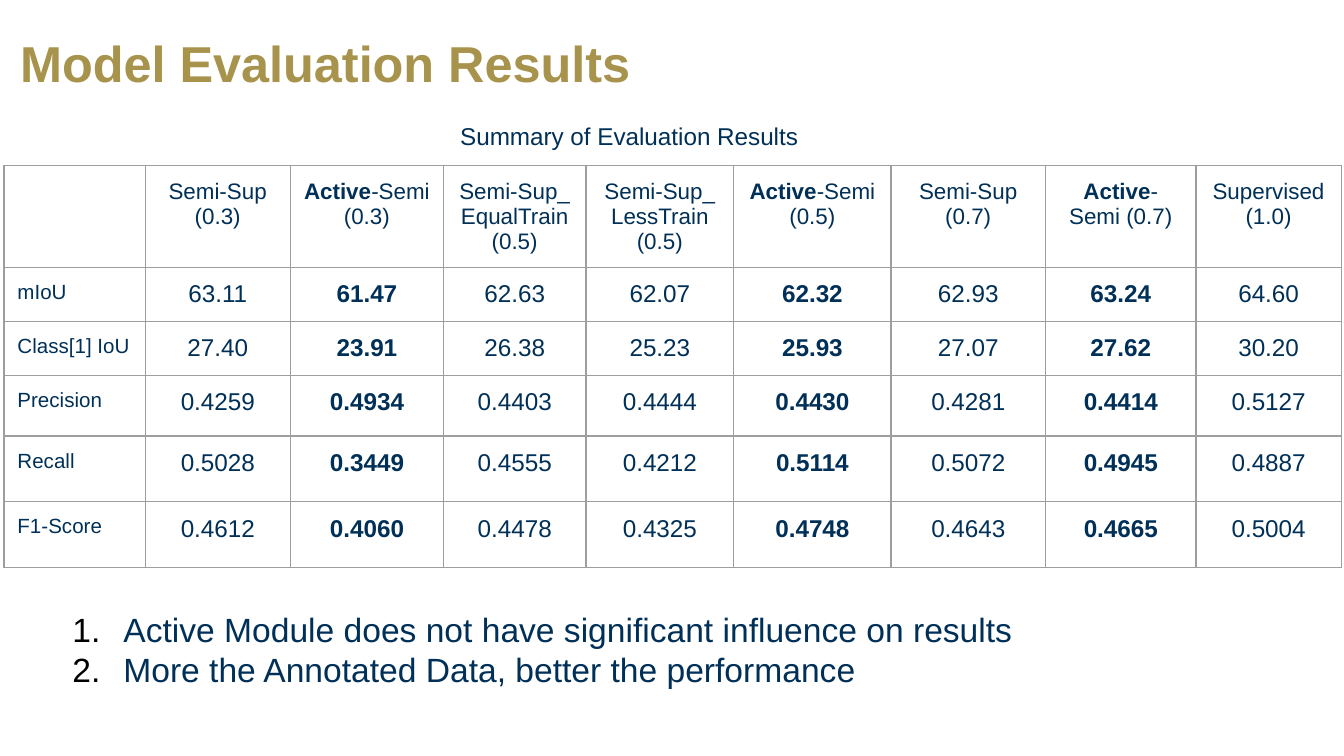
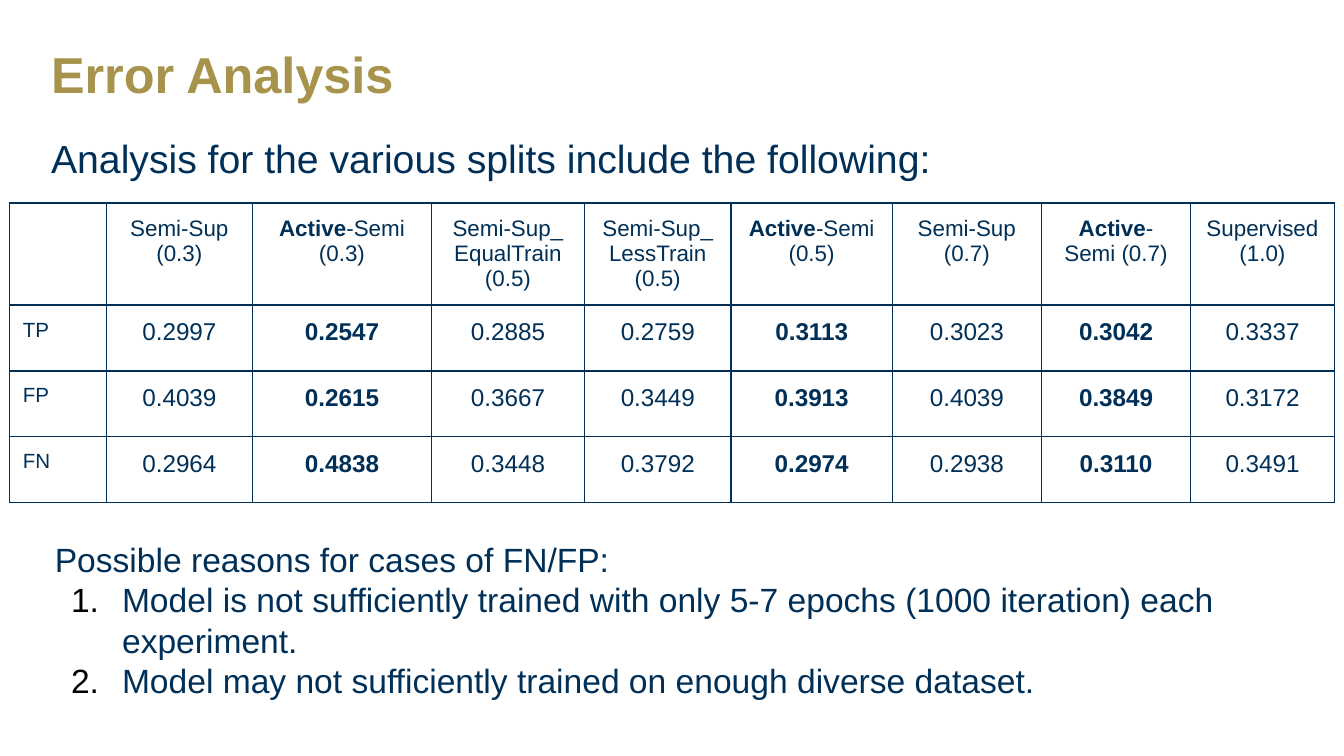
"""Build two slides of model evaluation tables and their findings."""
from lxml import etree
from pptx import Presentation
from pptx.dml.color import RGBColor
from pptx.enum.text import MSO_ANCHOR, MSO_AUTO_SIZE, PP_ALIGN
from pptx.oxml.ns import qn
from pptx.util import Inches, Pt

LEFT, CENTER = PP_ALIGN.LEFT, PP_ALIGN.CENTER
TOP, MIDDLE = MSO_ANCHOR.TOP, MSO_ANCHOR.MIDDLE
FIXED, GROW = MSO_AUTO_SIZE.NONE, MSO_AUTO_SIZE.SHAPE_TO_FIT_TEXT
FONT, NAVY, GOLD, GREY, BLACK = "Arial", "003057", "A7934B", "9E9E9E", "000000"
EMPHASIS = "Active"
PAGE_WIDTH = Inches(10)
PAGE_HEIGHT = PAGE_WIDTH * 9 // 16
TITLE_ONLY, TITLE_AND_BODY = 5, 1
SIDES = ("left", "top", "right", "bottom")
PLACEHOLDER_INSETS = (0.07, 0.04, 0.07, 0.04)
BOX_INSETS = (0.1, 0.1, 0.1, 0.1)

HEADERS = [
    "", "Semi-Sup\n(0.3)", "Active-Semi\n(0.3)", "Semi-Sup_\nEqualTrain\n(0.5)",
    "Semi-Sup_\nLessTrain\n(0.5)", "Active-Semi (0.5)", "Semi-Sup\n(0.7)",
    "Active-Semi (0.7)", "Supervised\n(1.0)",
]

SLIDES = [
    {
        "layout": TITLE_ONLY,
        "title": ("Model Evaluation Results", (0.08, 0.08, 9.38, 0.83)),
        "caption": ("Summary of Evaluation Results", (0.5, 0.8, 8.36, 0.42)),
        "table": {
            "area": (0.03, 1.23, 9.95, 3.07),
            "border": GREY,
            "widths": [1.05, 1.08, 1.14, 1.06, 1.1, 1.17, 1.15, 1.12, 1.08],
            "heights": [0.61, 0.36, 0.36, 0.45, 0.49, 0.49],
            "rows": [
                ["mIoU", "63.11", "61.47", "62.63", "62.07", "62.32", "62.93", "63.24", "64.60"],
                ["Class[1] IoU", "27.40", "23.91", "26.38", "25.23", "25.93", "27.07", "27.62", "30.20"],
                ["Precision", "0.4259", "0.4934", "0.4403", "0.4444", "0.4430", "0.4281", "0.4414", "0.5127"],
                ["Recall", "0.5028", "0.3449", "0.4555", "0.4212", "0.5114", "0.5072", "0.4945", "0.4887"],
                ["F1-Score", "0.4612", "0.4060", "0.4478", "0.4325", "0.4748", "0.4643", "0.4665", "0.5004"],
            ],
        },
        "findings": {
            "area": (0.32, 4.43, 9.81, 0.81),
            "lead": [],
            "items": [
                "Active Module does not have significant influence on results",
                "More the Annotated Data, better the performance",
            ],
        },
    },
    {
        "layout": TITLE_AND_BODY,
        "title": ("Error Analysis", (0.31, 0.16, 9.38, 0.83)),
        "body": ("Analysis for the various splits include the following:", (0.31, 1, 9.38, 4.4)),
        "table": {
            "area": (0.07, 1.51, 9.85, 2.27),
            "border": NAVY,
            "widths": [0.72, 1.09, 1.33, 1.14, 1.09, 1.2, 1.11, 1.11, 1.07],
            "heights": [0.61, 0.49, 0.49, 0.49],
            "rows": [
                ["TP", "0.2997", "0.2547", "0.2885", "0.2759", "0.3113", "0.3023", "0.3042", "0.3337"],
                ["FP", "0.4039", "0.2615", "0.3667", "0.3449", "0.3913", "0.4039", "0.3849", "0.3172"],
                ["FN", "0.2964", "0.4838", "0.3448", "0.3792", "0.2974", "0.2938", "0.3110", "0.3491"],
            ],
        },
        "findings": {
            "area": (0.31, 3.91, 9.38, 1.72),
            "lead": ["Possible reasons for cases of FN/FP:"],
            "items": [
                "Model is not sufficiently trained with only 5-7 epochs (1000 iteration) each experiment.",
                "Model may not sufficiently trained on enough diverse dataset.",
            ],
        },
    },
]


def color(value):
    """Return a colour from its hex string."""
    return RGBColor.from_string(value)


def set_all(target, values):
    """Set every named attribute on the target."""
    for name, value in values.items():
        setattr(target, name, value)


def add_span(para, text, size, fill=NAVY, bold=False):
    """Add formatted text, breaking the line at each newline."""
    for index, line in enumerate(text.split("\n")):
        if index:
            para.add_line_break()
        span = para.add_run()
        span.text = line
        set_all(span.font, {"name": FONT, "size": Pt(size), "bold": bold})
        span.font.color.rgb = color(fill)


def add_solid_fill(parent, fill):
    """Append a solid fill to an XML element."""
    solid = etree.SubElement(parent, qn("a:solidFill"))
    etree.SubElement(solid, qn("a:srgbClr"), val=fill)


def set_bullet(para, indent=0, hanging=0, numbered=False):
    """Give a paragraph its indents and a black number or no bullet."""
    properties = para._p.get_or_add_pPr()
    properties.set("marL", str(Inches(indent)))
    properties.set("indent", str(Inches(hanging)))
    if not numbered:
        etree.SubElement(properties, qn("a:buNone"))
        return
    bullet_color = etree.SubElement(properties, qn("a:buClr"))
    etree.SubElement(bullet_color, qn("a:srgbClr"), val=BLACK)
    etree.SubElement(properties, qn("a:buFont"), typeface=FONT)
    etree.SubElement(properties, qn("a:buAutoNum"), type="arabicPeriod")


def set_frame(frame, insets, anchor=TOP, auto_size=FIXED):
    """Set the wrapping, anchor and insets of a text frame."""
    margins = {f"margin_{side}": Inches(inset) for side, inset in zip(SIDES, insets)}
    set_all(frame, {"word_wrap": True, "auto_size": auto_size, "vertical_anchor": anchor, **margins})


def fill_placeholder(box, text, area, size, fill=NAVY, bold=False, anchor=TOP, before=0):
    """Move a placeholder and write its single paragraph."""
    set_all(box, dict(zip(("left", "top", "width", "height"), map(Inches, area))))
    set_frame(box.text_frame, PLACEHOLDER_INSETS, anchor)
    para = box.text_frame.paragraphs[0]
    set_all(para, {"alignment": LEFT, "line_spacing": 0.9, "space_before": Pt(before)})
    set_bullet(para)
    add_span(para, text, size, fill, bold)


def add_box(page, area):
    """Add a wrapping text box and return its text frame."""
    frame = page.shapes.add_textbox(*map(Inches, area)).text_frame
    set_frame(frame, BOX_INSETS, auto_size=GROW)
    return frame


def set_borders(cell, fill):
    """Draw the four borders of a table cell."""
    properties = cell._tc.get_or_add_tcPr()
    for tag in ("a:lnL", "a:lnR", "a:lnT", "a:lnB"):
        line = etree.SubElement(properties, qn(tag), w=str(Pt(0.75)))
        add_solid_fill(line, fill)


def fill_cell(cell, text, row, column, border):
    """Format one table cell according to its row and column."""
    set_borders(cell, border)
    cell.fill.background()
    set_all(cell, {f"margin_{side}": Inches(0.1) for side in SIDES})
    if not text:
        return
    para = cell.text_frame.paragraphs[0]
    para.alignment = CENTER if column else LEFT
    active = HEADERS[column].startswith(EMPHASIS)
    if row:
        add_span(para, text, 13 if column else 11, bold=active)
    elif active:
        add_span(para, EMPHASIS, 12, bold=True)
        add_span(para, text.removeprefix(EMPHASIS), 12)
    else:
        add_span(para, text, 12)


def add_results(page, area, border, widths, heights, rows):
    """Add a table of results under the shared headers."""
    table = page.shapes.add_table(len(heights), len(widths), *map(Inches, area)).table
    set_all(table, {"first_row": False, "horz_banding": False})
    for column, width in zip(table.columns, widths):
        column.width = Inches(width)
    for row, height in zip(table.rows, heights):
        row.height = Inches(height)
    for row, texts in enumerate([HEADERS, *rows]):
        for column, text in enumerate(texts):
            fill_cell(table.cell(row, column), text, row, column, border)


def add_findings(page, area, lead, items):
    """Add lead lines followed by a numbered list."""
    frame = add_box(page, area)
    for index, text in enumerate(lead + items):
        para = frame.add_paragraph() if index else frame.paragraphs[0]
        if index >= len(lead):
            set_bullet(para, 0.5, -0.38, numbered=True)
        add_span(para, text, 18)


def add_page(deck, content):
    """Build one slide from its content."""
    page = deck.slides.add_slide(deck.slide_layouts[content["layout"]])
    fill_placeholder(page.shapes.title, *content["title"], 27, GOLD, True, MIDDLE)
    if "body" in content:
        fill_placeholder(page.placeholders[1], *content["body"], 21, before=8)
    add_results(page, **content["table"])
    if "caption" in content:
        text, area = content["caption"]
        para = add_box(page, area).paragraphs[0]
        para.alignment = CENTER
        add_span(para, text, 13)
    add_findings(page, **content["findings"])


def main():
    """Build and save the deck."""
    deck = Presentation()
    set_all(deck, {"slide_width": PAGE_WIDTH, "slide_height": PAGE_HEIGHT})
    for content in SLIDES:
        add_page(deck, content)
    deck.save("out.pptx")


if __name__ == "__main__":
    main()
